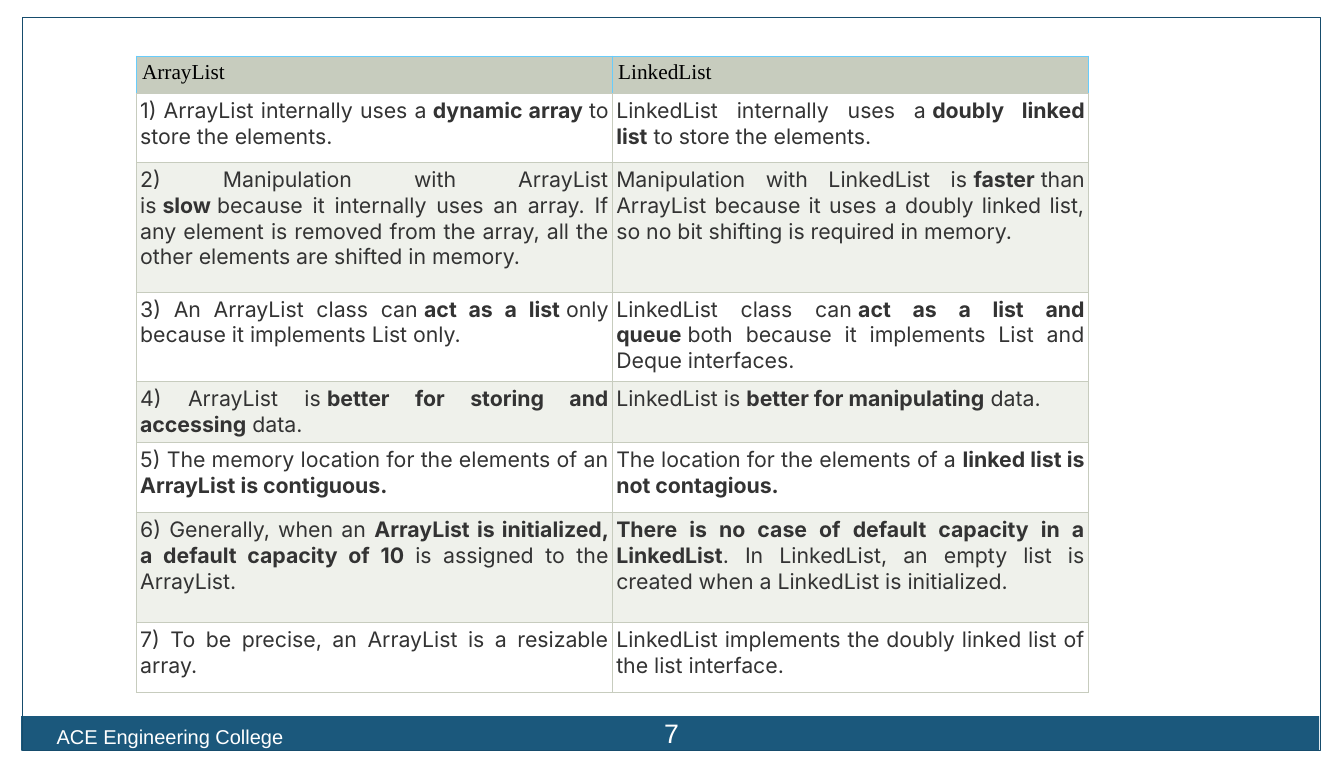
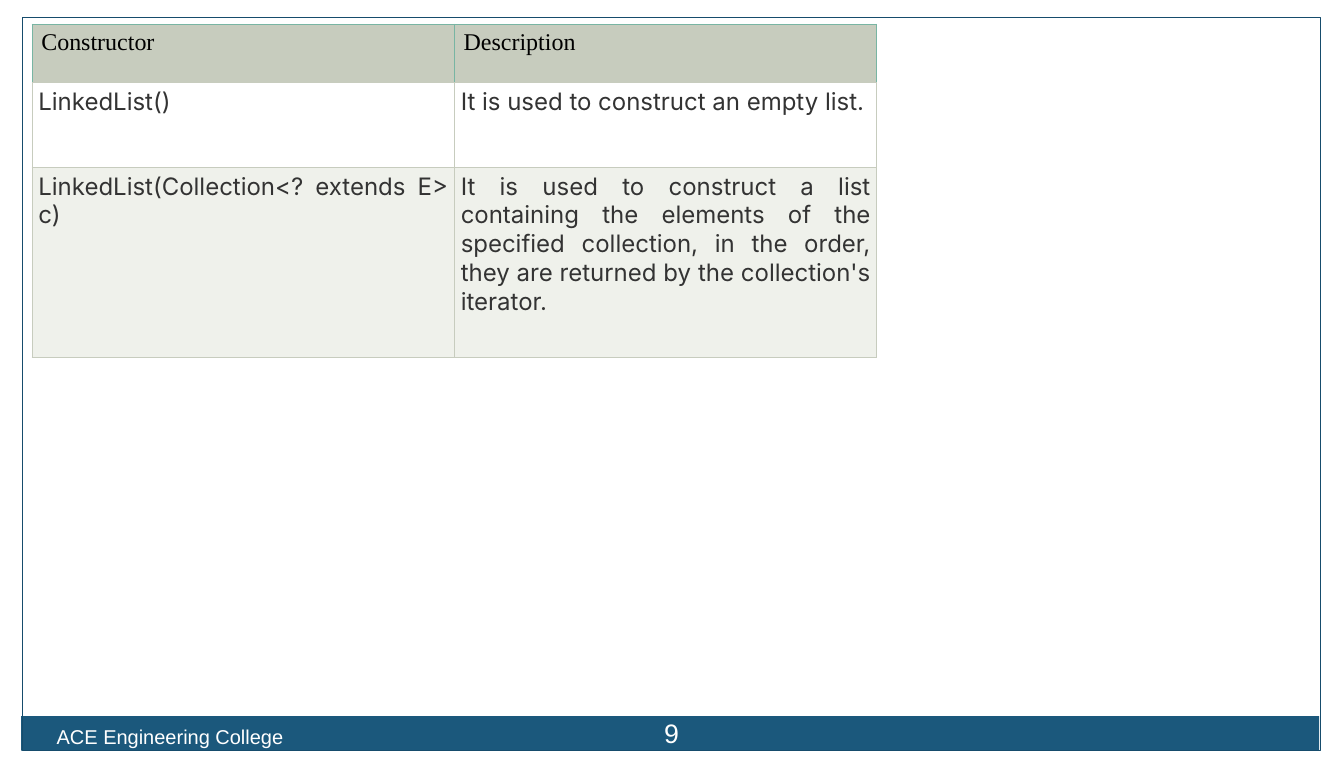
from pptx import Presentation
from pptx.dml.color import RGBColor
from pptx.enum.shapes import MSO_SHAPE as Shape
from pptx.enum.text import MSO_ANCHOR as Anchor, PP_ALIGN as Align
from pptx.oxml.ns import qn
from pptx.util import Inches, Pt
from lxml.etree import SubElement

# Shared look
HEX = {
    "band": "1B587C", "frame": "164C6C", "white": "FFFFFF", "black": "000000",
    "text": "333333", "head": "C7CCBE", "tint": "EFF1EB",
    "sky": "68CCFB", "mint": "78B5A3",
}
COLLEGE = "ACE Engineering College"
EDGES = [(0, 0, 14, 0.18), (13.77, 0, 0.23, 8), (0, 0, 0.23, 8)]
HARD = chr(160)  # no-break space

# Content: ** marks the start and end of bold words, ~ a no-break space
LISTS = [
    ("ArrayList", "LinkedList"),
    ("1) ArrayList internally uses a~**dynamic array**~to store the elements.",
     "LinkedList internally uses a~**doubly linked list**~to store the elements."),
    ("2) Manipulation with ArrayList is~**slow**~because it internally uses an array. "
     "If any element is removed from the array, all the other elements are shifted in memory.",
     "Manipulation with LinkedList is~**faster**~than ArrayList because it uses "
     "a doubly linked list, so no bit shifting is required in memory."),
    ("3) An ArrayList class can~**act as a list**~only because it implements List only.",
     "LinkedList class can~**act as a list and queue**~both because it implements "
     "List and Deque interfaces."),
    ("4) ArrayList is~**better for storing and accessing**~data.",
     "LinkedList is~**better for manipulating**~data."),
    ("5) The memory location for the elements of an **ArrayList is contiguous.**",
     "The location for the elements of a **linked list is not contagious.**"),
    ("6) Generally, when an **ArrayList is initialized, a default capacity of 10 **"
     "is assigned to the ArrayList.",
     "**There is no case of default capacity in a LinkedList**. In LinkedList, "
     "an empty list is created when a LinkedList is initialized."),
    ("7) To be precise, an ArrayList is a resizable array.",
     "LinkedList implements the doubly linked list of the list interface."),
]
MAKERS = [
    ("Constructor", "Description"),
    ("LinkedList()", "It is used to construct an empty list."),
    ("LinkedList(Collection<? extends E> c)",
     "It is used to construct a list containing the elements of the specified "
     "collection, in the order, they are returned by the collection's iterator."),
]
# pads: left and right inset of the head row, then of the body rows
PAGES = [
    dict(num="7", rows=LISTS, at=(1.42, 0.58), width=4.96, size=16,
         highs=(0.39, 0.72, 1.35, 0.93, 0.64, 0.73, 1.14, 0.73),
         edge="sky", pads=((0.06, 0.06), (0.04, 0.04))),
    dict(num="9", rows=MAKERS, at=(0.33, 0.25), width=4.4, size=18,
         highs=(0.61, 0.88, 1.98), edge="mint", pads=((0.1, 0.1), (0.07, 0.06))),
]


def color(name):
    return RGBColor.from_string(HEX[name])


def style(para, face, size, tone):
    para.font.name = face
    para.font.size = Pt(size)
    para.font.color.rgb = color(tone)


def add_box(slide, spot, fill=None, line=None):
    box = slide.shapes.add_shape(Shape.RECTANGLE, *map(Inches, spot))
    box.shadow.inherit = False
    if fill:
        box.fill.solid()
        box.fill.fore_color.rgb = color(fill)
    else:
        box.fill.background()
    if line:
        box.line.color.rgb = color(line)
        box.line.width = Pt(0.75)
    else:
        box.line.fill.background()


def add_label(slide, spot, text, size, side, align, anchor):
    frame = slide.shapes.add_textbox(*map(Inches, spot)).text_frame
    frame.word_wrap = True
    frame.vertical_anchor = anchor
    frame.margin_left = frame.margin_right = Inches(side)
    frame.margin_top = frame.margin_bottom = Inches(0.06)
    para = frame.paragraphs[0]
    para.text = text
    para.alignment = align
    style(para, "Arial", size, "white")


def add_base(slide, num):
    for spot in EDGES:
        add_box(slide, spot, fill="white")
    add_box(slide, (0.22, 7.46, 13.52, 0.36), fill="band")
    add_box(slide, (0.23, 0.18, 13.53, 7.64), line="frame")
    add_label(slide, (0.47, 7.49, 5.48, 0.43), COLLEGE, 15, 0.12, Align.LEFT, Anchor.TOP)
    add_label(slide, (6.53, 7.38, 0.93, 0.51), num, 20, 0.06, Align.CENTER, Anchor.MIDDLE)


def set_edges(cell, tone):
    props = cell._tc.get_or_add_tcPr()
    for side in "LRTB":
        line = SubElement(props, qn("a:ln" + side), w=str(Pt(0.28)))
        paint = SubElement(line, qn("a:solidFill"))
        name = "head" if side == "B" else tone
        SubElement(paint, qn("a:srgbClr"), val=HEX[name])


def fill_cell(cell, text, row, page):
    head = row == 0
    set_edges(cell, page["edge"] if head else "head")
    cell.fill.solid()
    cell.fill.fore_color.rgb = color("head" if head else "white" if row % 2 else "tint")
    left, right = page["pads"][0 if head else 1]
    cell.margin_left, cell.margin_right = Inches(left), Inches(right)
    cell.margin_top = cell.margin_bottom = Inches(0.05)
    para = cell.text_frame.paragraphs[0]
    para.alignment = Align.LEFT if head else Align.JUSTIFY
    if head:
        style(para, "Times New Roman", page["size"], "black")
    else:
        style(para, "Inter", page["size"], "text")
    for i, part in enumerate(text.replace("~", HARD).split("**")):
        if part:
            run = para.add_run()
            run.text = part
            if i % 2:
                run.font.bold = True


def add_grid(slide, page):
    rows, highs, width = page["rows"], page["highs"], page["width"]
    cols = len(rows[0])
    spot = (*page["at"], width * cols, sum(highs))
    grid = slide.shapes.add_table(len(rows), cols, *map(Inches, spot)).table
    grid.first_row = grid.horz_banding = False
    for col in grid.columns:
        col.width = Inches(width)
    for r, (texts, high) in enumerate(zip(rows, highs)):
        grid.rows[r].height = Inches(high)
        for c, text in enumerate(texts):
            fill_cell(grid.cell(r, c), text, r, page)


def main():
    deck = Presentation()
    deck.slide_width, deck.slide_height = Inches(14), Inches(8)
    for page in PAGES:
        slide = deck.slides.add_slide(deck.slide_layouts[6])
        add_base(slide, page["num"])
        add_grid(slide, page)
    deck.save("out.pptx")


if __name__ == "__main__":
    main()
